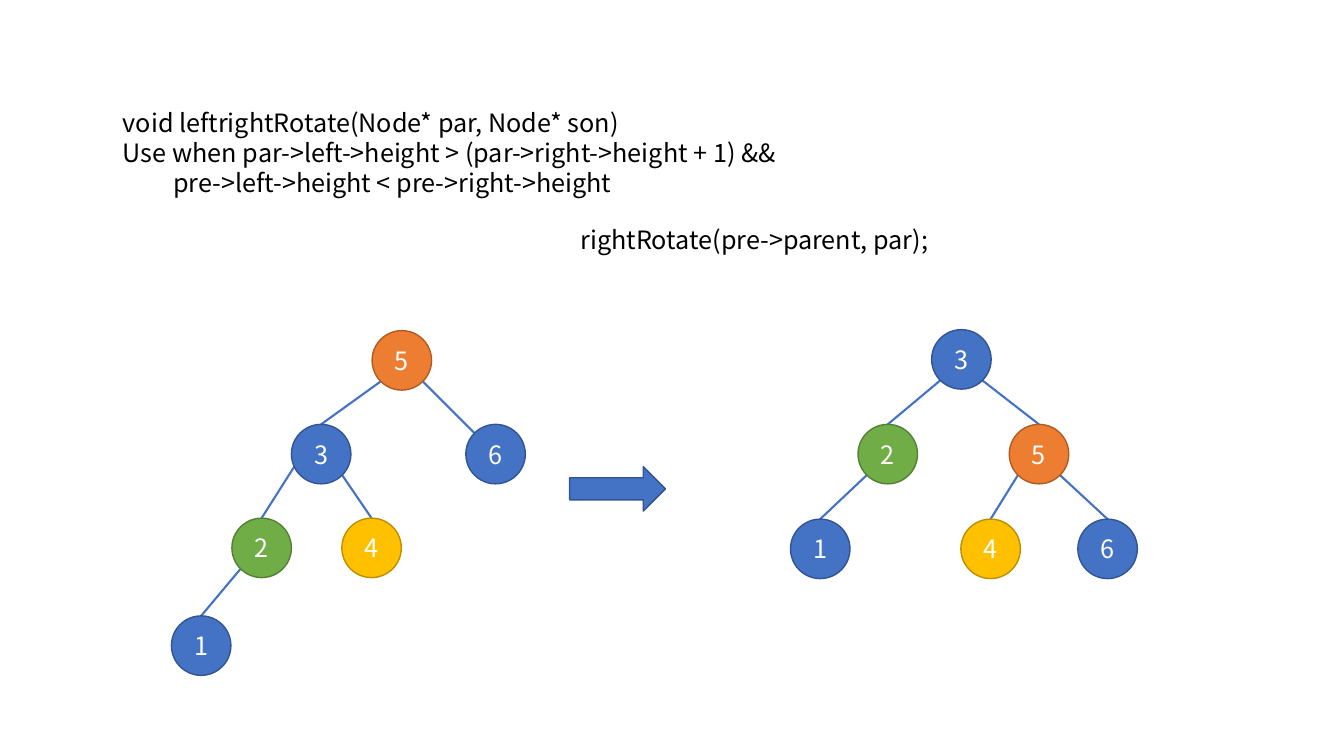
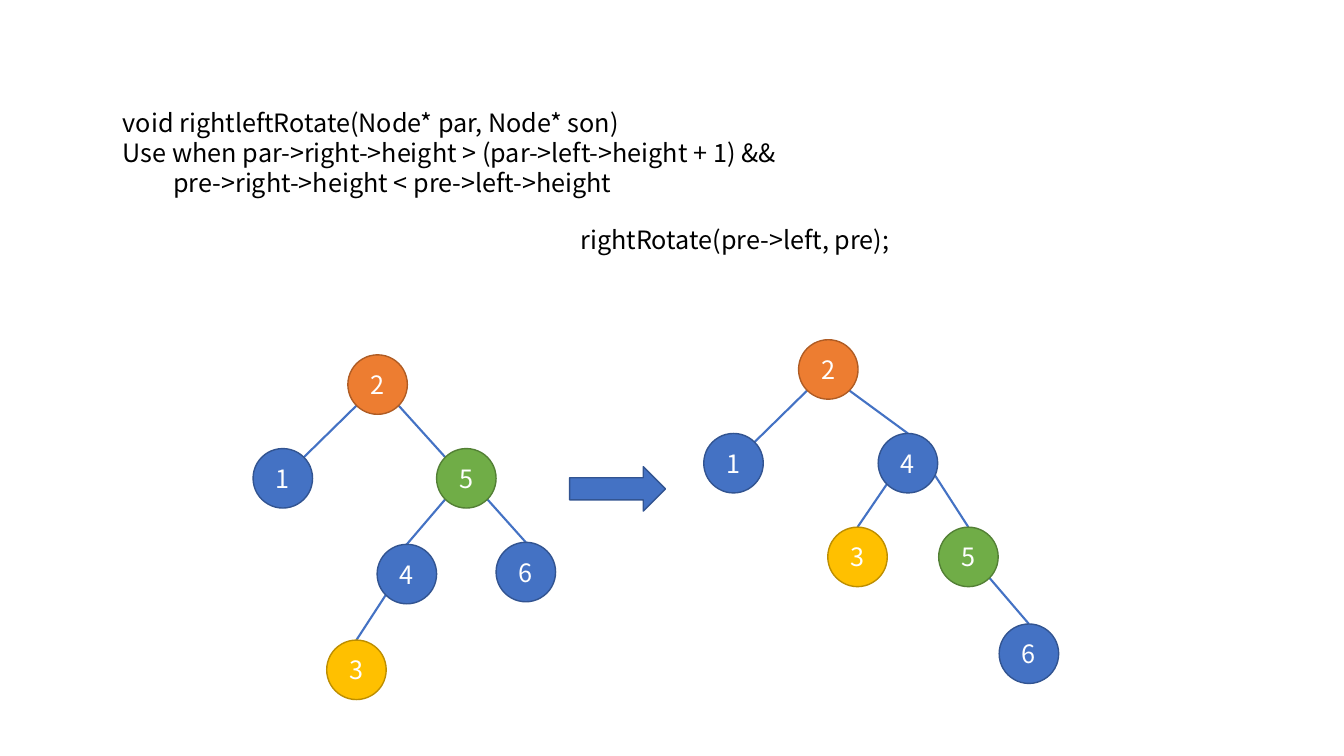
from typing import NamedTuple

from lxml import etree
from pptx import Presentation
from pptx import util as u
from pptx.dml.color import RGBColor
from pptx.enum import shapes, text
from pptx.oxml.ns import qn

PX = 9144  # 100 px to the inch
FONT = "Noto Sans CJK SC"
SIZE = 59  # node diameter
DIAG = 21  # centre to diagonal point of a node, on each axis
INDENT = 50


class Tone(NamedTuple):
    fill: str
    edge: str


BLUE = Tone("4472C4", "325491")
ORANGE = Tone("ED7D31", "AF5C24")
GREEN = Tone("70AD47", "538035")
GOLD = Tone("FFC000", "BD8E00")


class Node(NamedTuple):
    """A tree node; high starts its link at the parent's top, side ends it on a diagonal."""
    key: str
    left: int
    top: int
    tone: Tone = BLUE
    parent: str = ""
    high: bool = False
    side: bool = False

    def upper(self) -> tuple[float, float]:
        return self.left + SIZE / 2, self.top

    def corner(self, right: bool, low: bool) -> tuple[float, float]:
        half = SIZE / 2
        return (self.left + half + (DIAG if right else -DIAG),
                self.top + half + (DIAG if low else -DIAG))


class Page(NamedTuple):
    code: list[str]
    call: str
    trees: list[list[Node]]


PAGES = [
    Page(
        ["void leftrightRotate(Node* par, Node* son)",
         "Use when par->left->height > (par->right->height + 1) &&",
         "pre->left->height < pre->right->height"],
        "rightRotate(pre->parent, par);",
        [
            [Node("5", 369, 328, ORANGE),
             Node("6", 462, 421, parent="5", side=True),
             Node("3", 289, 421, parent="5"),
             Node("2", 230, 514, GREEN, "3", high=True),
             Node("4", 339, 514, GOLD, "3"),
             Node("1", 170, 611, parent="2")],
            [Node("3", 924, 327),
             Node("2", 851, 421, GREEN, "3"),
             Node("5", 1001, 421, ORANGE, "3"),
             Node("1", 784, 515, parent="2"),
             Node("4", 953, 515, GOLD, "5"),
             Node("6", 1069, 515, parent="5")],
        ],
    ),
    Page(
        ["void rightleftRotate(Node* par, Node* son)",
         "Use when par->right->height > (par->left->height + 1) &&",
         "pre->right->height < pre->left->height"],
        "rightRotate(pre->left, pre);",
        [
            [Node("2", 345, 352, ORANGE),
             Node("1", 251, 445, parent="2", side=True),
             Node("5", 433, 445, GREEN, "2", side=True),
             Node("4", 374, 540, parent="5"),
             Node("6", 492, 538, parent="5"),
             Node("3", 324, 635, GOLD, "4")],
            [Node("2", 792, 337, ORANGE),
             Node("1", 698, 430, parent="2", side=True),
             Node("4", 871, 430, parent="2"),
             Node("3", 821, 523, GOLD, "4"),
             Node("5", 931, 523, GREEN, "4", high=True),
             Node("6", 991, 619, parent="5")],
        ],
    ),
]


def px(*vals: float) -> list[int]:
    return [round(v * PX) for v in vals]


def rgb(code: str) -> RGBColor:
    return RGBColor.from_string(code)


def write(frame, lines: list[str], color: str = "000000", align=text.PP_ALIGN.LEFT,
          pitch: float = 0, inset: int = 0) -> None:
    """Fill a text frame; inset is the left indent of every line after the second."""
    for i, line in enumerate(lines):
        par = frame.paragraphs[0] if i == 0 else frame.add_paragraph()
        par.alignment = align
        if pitch:
            par.line_spacing = u.Pt(pitch)
        if inset and i > 1:
            par._p.get_or_add_pPr().set("marL", str(inset * PX))
        run = par.add_run()
        run.text = line
        run.font.name = FONT
        run.font.size = u.Pt(18)
        run.font.color.rgb = rgb(color)


def label(slide, box: tuple[int, int, int, int], lines: list[str], inset: int = 0) -> None:
    frame = slide.shapes.add_textbox(*px(*box)).text_frame
    frame.word_wrap = True
    frame.auto_size = text.MSO_AUTO_SIZE.SHAPE_TO_FIT_TEXT
    write(frame, lines, pitch=21.7, inset=inset)


def solid(parent, kind, box: tuple[int, int, int, int], tone: Tone):
    shape = parent.shapes.add_shape(kind, *px(*box))
    shape.shadow.inherit = False
    shape.fill.solid()
    shape.fill.fore_color.rgb = rgb(tone.fill)
    shape.line.color.rgb = rgb(tone.edge)
    shape.line.width = u.Pt(1)
    return shape


def link(group, parent: Node, child: Node):
    right = child.left > parent.left
    start = parent.upper() if child.high else parent.corner(right, True)
    end = child.corner(not right, False) if child.side else child.upper()
    line = group.shapes.add_connector(shapes.MSO_CONNECTOR.STRAIGHT, *px(*start, *end))
    line.line.color.rgb = rgb(BLUE.fill)
    line.line.width = u.Pt(1.5)
    etree.SubElement(line._element.spPr, qn("a:effectLst"))
    return line


def tree(slide, nodes: list[Node]) -> None:
    """Draw the links behind the nodes, then join those that end at a node's top."""
    group = slide.shapes.add_group_shape()
    by_key = {n.key: n for n in nodes}
    links = {n.key: link(group, by_key[n.parent], n) for n in nodes if n.parent}
    discs = {}
    for n in nodes:
        disc = solid(group, shapes.MSO_SHAPE.OVAL, (n.left, n.top, SIZE, SIZE), n.tone)
        disc.text_frame.vertical_anchor = text.MSO_ANCHOR.MIDDLE
        write(disc.text_frame, [n.key], color="FFFFFF", align=text.PP_ALIGN.CENTER)
        discs[n.key] = disc
    for n in nodes:
        if n.parent and n.high:
            links[n.key].begin_connect(discs[n.parent], 0)
        if n.parent and not n.side:
            links[n.key].end_connect(discs[n.key], 0)


def main() -> None:
    deck = Presentation()
    deck.slide_width, deck.slide_height = px(1333, 750)
    for page in PAGES:
        slide = deck.slides.add_slide(deck.slide_layouts[6])
        label(slide, (566, 217, 522, 40), [page.call])
        solid(slide, shapes.MSO_SHAPE.RIGHT_ARROW, (565, 463, 95, 44), BLUE)
        label(slide, (112, 101, 731, 101), page.code, inset=INDENT)
        for nodes in page.trees:
            tree(slide, nodes)
    deck.save("out.pptx")


if __name__ == "__main__":
    main()
